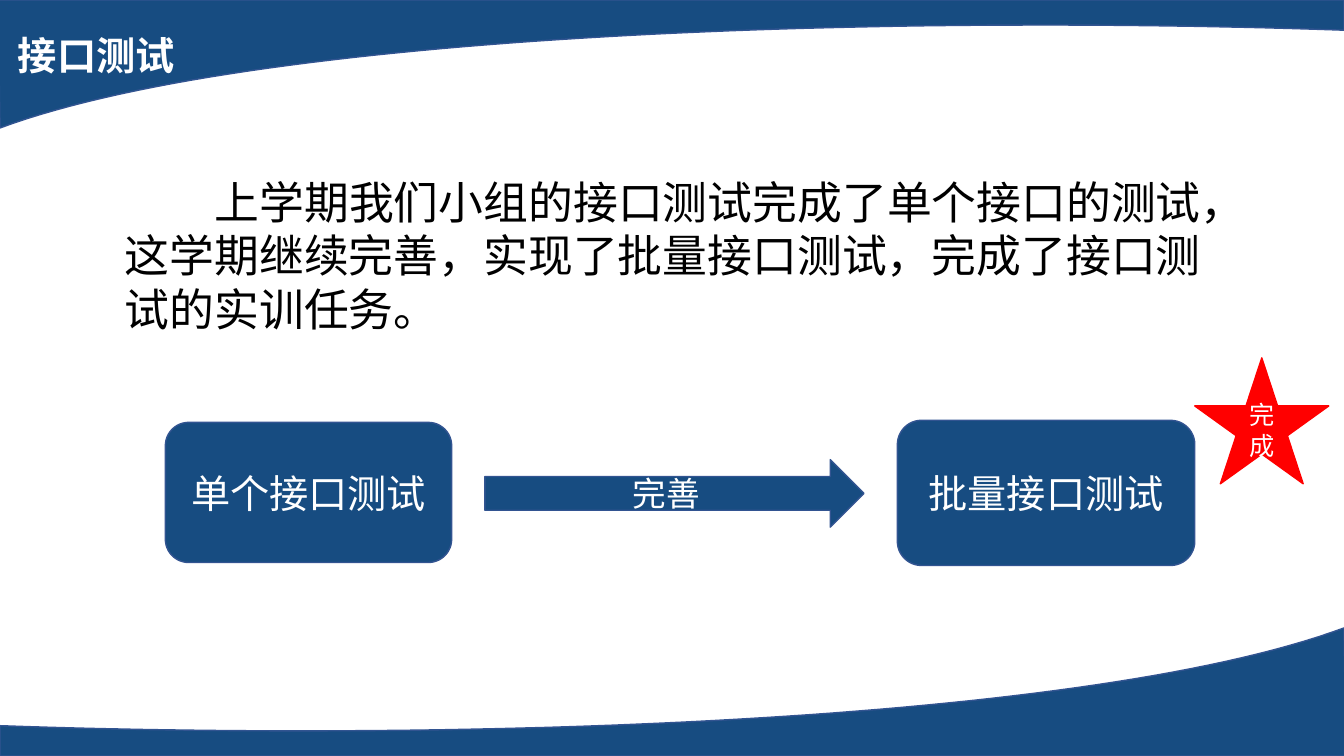
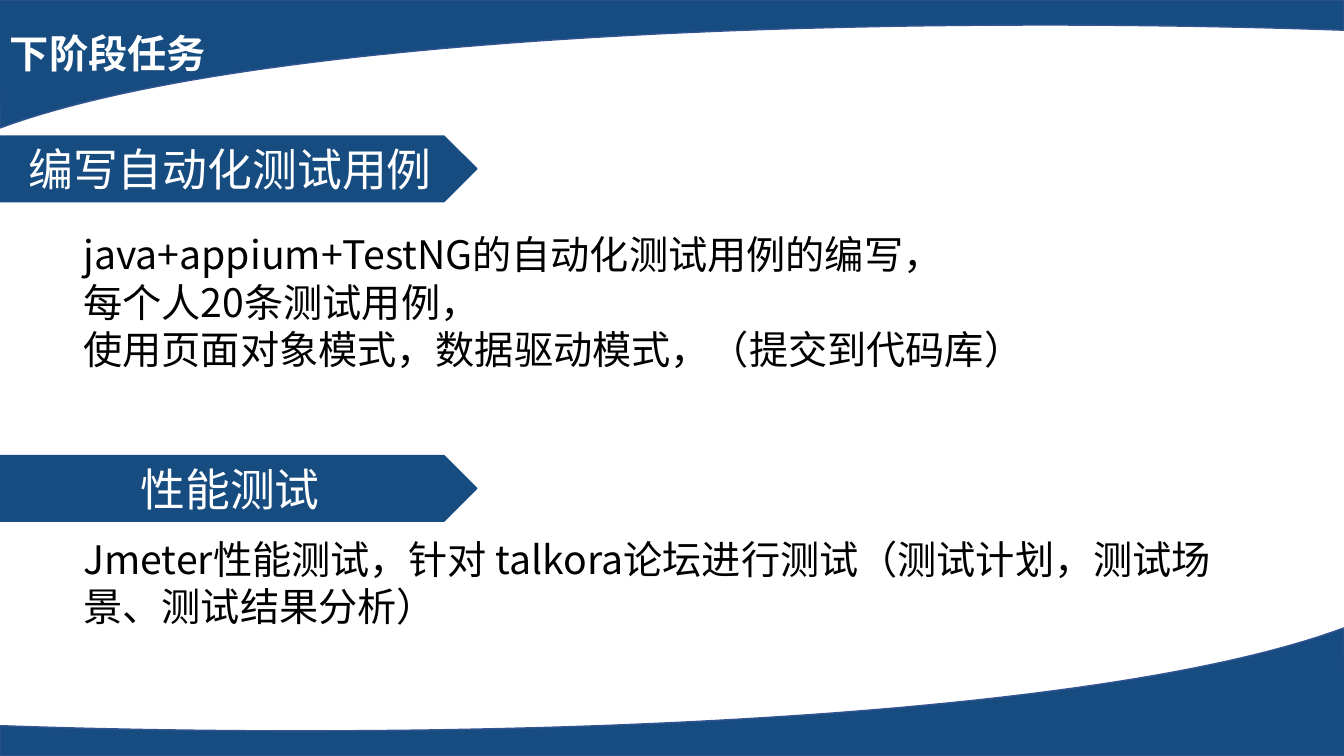
from dataclasses import dataclass

from pptx import Presentation
from pptx.dml.color import RGBColor
from pptx.enum.shapes import MSO_SHAPE
from pptx.enum.text import MSO_ANCHOR, MSO_AUTO_SIZE, PP_ALIGN
from pptx.oxml.ns import qn
from pptx.util import Inches, Pt


@dataclass(frozen=True)
class Theme:
    navy: str = "174C81"
    outline: str = "325491"
    red: str = "FF0000"
    white: str = "FFFFFF"
    black: str = "000000"
    font: str = "Noto Sans CJK SC"
    latin_font: str = "Calibri"
    large: int = 32
    medium: int = 28
    small: int = 24
    tiny: int = 18


THEME = Theme()
WIDTH, HEIGHT = 13.33, 7.5

# Lower band: straight edges, then a Bezier curve back to the first corner
BAND_CORNERS = [(13.33, 6.23), (13.35, 7.5), (0, 7.5), (0, 7.2), (0.31, 7.21)]
BAND_CONTROLS = [(4.79, 7.35), (10.82, 7.16)]
CURVE_STEPS = 60

INTERFACE_TITLE = ("接口测试", (0.08, 0.26, 2.8, 0.57))
INTERFACE_SUMMARY = (
    "上学期我们小组的接口测试完成了单个接口的测试，这学期继续完善，"
    "实现了批量接口测试，完成了接口测试的实训任务。"
)
INTERFACE_STEPS = [
    ("单个接口测试", MSO_SHAPE.ROUNDED_RECTANGLE, (1.64, 4.19, 2.84, 1.39),
     THEME.navy, THEME.outline, THEME.medium),
    ("批量接口测试", MSO_SHAPE.ROUNDED_RECTANGLE, (8.9, 4.17, 2.95, 1.44),
     THEME.navy, THEME.outline, THEME.medium),
    ("完善", MSO_SHAPE.RIGHT_ARROW, (4.81, 4.56, 3.76, 0.67),
     THEME.navy, THEME.outline, THEME.small),
    ("完成", MSO_SHAPE.STAR_5_POINT, (11.85, 3.55, 1.33, 1.25),
     THEME.red, THEME.red, THEME.tiny),
]

TASKS_TITLE = ("下阶段任务", (0, 0.24, 2.8, 0.57))
# heading, heading top, body top, body height, body paragraphs
TASKS = [
    ("编写自动化测试用例", 1.35, 2.24, 1.51, [
        "java+appium+TestNG的自动化测试用例的编写，",
        "每个人20条测试用例，",
        "使用页面对象模式，数据驱动模式，（提交到代码库）",
    ]),
    ("性能测试", 4.52, 5.26, 1.04, [
        "Jmeter性能测试，针对 talkora论坛进行测试（测试计划，测试场景、测试结果分析）",
    ]),
]


def write_text(frame, lines, *, size, color, font=THEME.font, bold=False,
               align=PP_ALIGN.LEFT, indent=0):
    frame.word_wrap = True
    for index, line in enumerate(lines):
        paragraph = frame.paragraphs[0] if index == 0 else frame.add_paragraph()
        paragraph.alignment = align
        if indent:
            properties = paragraph._p.get_or_add_pPr()
            properties.set("marL", "0")
            properties.set("indent", str(Inches(indent)))
        run = paragraph.add_run()
        run.text = line
        run.font.size = Pt(size)
        run.font.bold = bold
        run.font.color.rgb = RGBColor.from_string(color)
        run.font.name = font
        east_asian = run.font._element.makeelement(qn("a:ea"), {"typeface": THEME.font})
        run.font._element.find(qn("a:latin")).addnext(east_asian)


def paint(shape, fill, line):
    shape.shadow.inherit = False
    shape.fill.solid()
    shape.fill.fore_color.rgb = RGBColor.from_string(fill)
    shape.line.color.rgb = RGBColor.from_string(line)
    shape.line.width = Pt(1)


def add_text(slide, box, lines, **text_format):
    text_box = slide.shapes.add_textbox(*map(Inches, box))
    write_text(text_box.text_frame, lines, **text_format)
    text_box.text_frame.auto_size = MSO_AUTO_SIZE.SHAPE_TO_FIT_TEXT


def add_title(slide, text, box):
    add_text(slide, box, [text], size=THEME.medium, color=THEME.white, bold=True)


def add_label(slide, text, preset, box, fill, line, size):
    """Add a filled preset shape with centred white text."""
    shape = slide.shapes.add_shape(preset, *map(Inches, box))
    paint(shape, fill, line)
    shape.text_frame.vertical_anchor = MSO_ANCHOR.MIDDLE
    write_text(shape.text_frame, [text], size=size, color=THEME.white,
               align=PP_ALIGN.CENTER)


def bezier_point(points, t):
    weights = ((1 - t) ** 3, 3 * t * (1 - t) ** 2, 3 * t * t * (1 - t), t ** 3)
    return tuple(sum(weight * point[axis] for weight, point in zip(weights, points))
                 for axis in (0, 1))


def add_bands_to_layout(slide):
    """Draw the lower band and its half-turn, then move both to the layout."""
    layout = slide.slide_layout
    for placeholder in list(layout.placeholders):
        layout.shapes.element.remove(placeholder.element)
    curve = [BAND_CORNERS[-1], *BAND_CONTROLS, BAND_CORNERS[0]]
    lower = BAND_CORNERS + [bezier_point(curve, step / CURVE_STEPS)
                            for step in range(1, CURVE_STEPS)]
    upper = [(WIDTH - x, HEIGHT - y) for x, y in lower]
    for outline in (lower, upper):
        start, *rest = [(Inches(x), Inches(y)) for x, y in outline]
        builder = slide.shapes.build_freeform(*start)
        builder.add_line_segments(rest, close=True)
        band = builder.convert_to_shape()
        paint(band, THEME.navy, THEME.outline)
        layout.shapes.element.append(band.element)


def build_interface_slide(slide):
    add_title(slide, *INTERFACE_TITLE)
    add_text(slide, (1.14, 1.68, 11.1, 1.72), [INTERFACE_SUMMARY], size=THEME.large,
             color=THEME.black, font=THEME.latin_font, indent=0.89)
    for step in INTERFACE_STEPS:
        add_label(slide, *step)


def build_tasks_slide(slide):
    add_title(slide, *TASKS_TITLE)
    for heading, heading_top, body_top, body_height, lines in TASKS:
        add_label(slide, heading, MSO_SHAPE.PENTAGON, (0, heading_top, 4.73, 0.65),
                  THEME.navy, THEME.navy, THEME.large)
        add_text(slide, (0.73, body_top, 11.53, body_height), lines,
                 size=THEME.medium, color=THEME.black)


def main():
    presentation = Presentation()
    presentation.slide_width = Inches(WIDTH)
    presentation.slide_height = Inches(HEIGHT)
    blank = presentation.slide_layouts[6]
    interface_slide, tasks_slide = [presentation.slides.add_slide(blank) for _ in range(2)]
    add_bands_to_layout(interface_slide)
    build_interface_slide(interface_slide)
    build_tasks_slide(tasks_slide)
    presentation.save("out.pptx")


if __name__ == "__main__":
    main()
